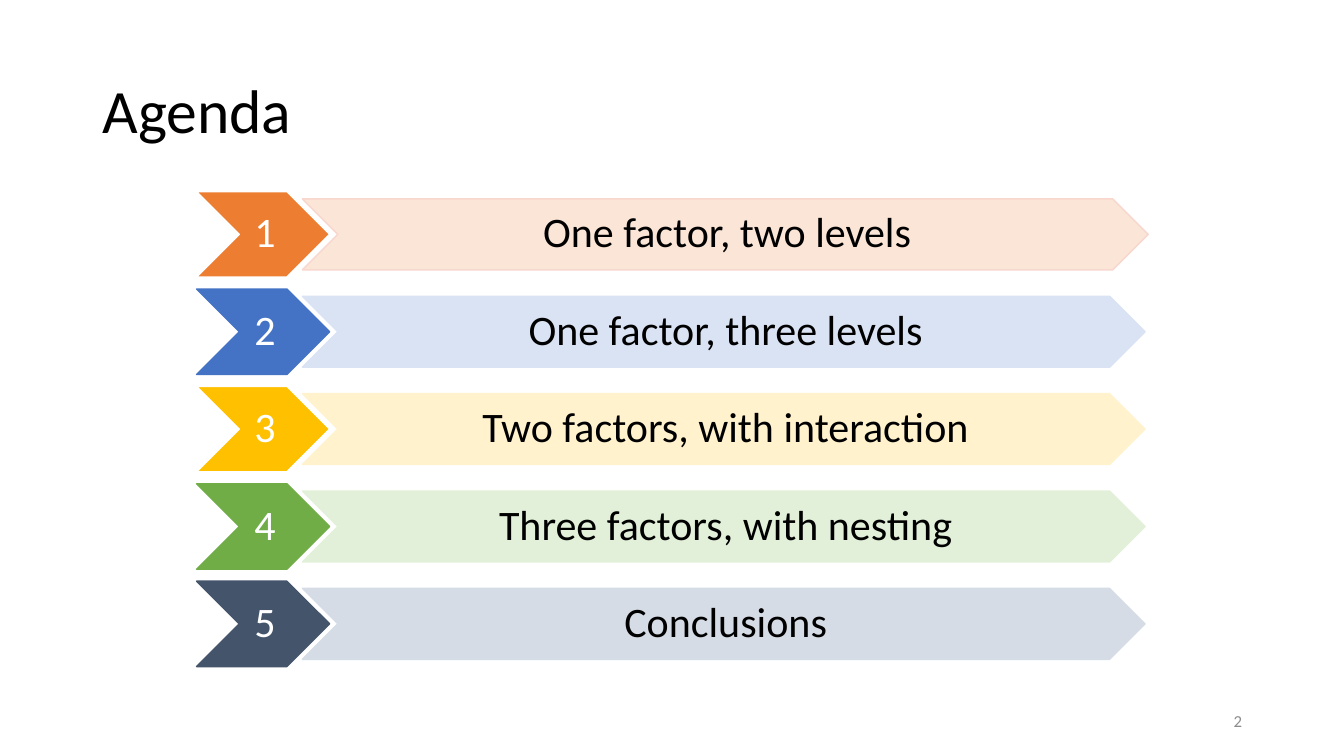
import dataclasses
import pptx
import pptx.util
import pptx.dml.color
import pptx.enum.shapes
import pptx.enum.text

ALIGN = pptx.enum.text.PP_ALIGN
MIDDLE = pptx.enum.text.MSO_ANCHOR.MIDDLE
CHEVRON = pptx.enum.shapes.MSO_SHAPE.CHEVRON


@dataclasses.dataclass(frozen=True)
class Theme:
    font: str = "Calibri"
    dark: str = "000000"
    light: str = "FFFFFF"
    muted: str = "8C8C8C"
    title: int = 44
    body: int = 30
    small: int = 12


def rgb(code):
    return pptx.dml.color.RGBColor.from_string(code)


def write(frame, text, font, size, color, align=ALIGN.LEFT, space=0.9, inset=None):
    """Put formatted text in a frame; inset is left, top, right, bottom in inches."""
    frame.word_wrap = True
    frame.auto_size = pptx.enum.text.MSO_AUTO_SIZE.NONE
    frame.vertical_anchor = MIDDLE
    if inset:
        left, top, right, bottom = map(pptx.util.Inches, inset)
        frame.margin_left, frame.margin_top = left, top
        frame.margin_right, frame.margin_bottom = right, bottom
    para = frame.paragraphs[0]
    para.alignment, para.line_spacing = align, space
    run = para.add_run()
    run.text = text
    run.font.name, run.font.size = font, pptx.util.Pt(size)
    run.font.color.rgb = rgb(color)


class Deck:
    """Holds the theme and current slide; boxes are in percent of its size."""

    def __init__(self, theme):
        self.theme = theme
        self.prs = pptx.Presentation()
        self.prs.slide_width = pptx.util.Inches(13.33)
        self.prs.slide_height = pptx.util.Inches(7.5)
        self.slide = self.prs.slides.add_slide(self.prs.slide_layouts[5])

    def place(self, left, top, width, height):
        wide, high = self.prs.slide_width / 100, self.prs.slide_height / 100
        return [round(n) for n in (left * wide, top * high, width * wide, height * high)]

    def title(self, box, text):
        item = self.slide.shapes.title
        item.left, item.top, item.width, item.height = self.place(*box)
        write(item.text_frame, text, self.theme.font, self.theme.title, self.theme.dark)

    def arrow(self, box, text, fill, line, color):
        item = self.slide.shapes.add_shape(CHEVRON, *self.place(*box))
        item.shadow.inherit = False
        item.fill.solid()
        item.fill.fore_color.rgb = rgb(fill)
        item.line.color.rgb = rgb(line)
        item.line.width = pptx.util.Pt(1)
        write(item.text_frame, text, self.theme.font, self.theme.body, color,
              align=ALIGN.CENTER, inset=(0.04, 0.02, 0, 0.02))

    def label(self, box, text):
        item = self.slide.shapes.add_textbox(*self.place(*box))
        write(item.text_frame, text, self.theme.font, self.theme.small,
              self.theme.muted, align=ALIGN.RIGHT, space=1)


theme = Theme()
deck = Deck(theme)

# Title
deck.title((6.88, 5.33, 86.25, 19.33), "Agenda")

# Agenda rows: text, number fill and line, bar fill and line, bar width
TOPICS = [
    ("One factor, two levels", "ED7D31", theme.light, "FBE5D6", "F8D7CE", 62.94),
    ("One factor, three levels", "4472C4", "4472C4", "DAE3F3", "DAE3F3", 62.7),
    ("Two factors, with interaction", "FFC000", theme.light, "FFF2CC", "FFF2CC", 62.7),
    ("Three factors, with nesting", "70AD47", "70AD47", "E2F0D9", "E2F0D9", 62.7),
    ("Conclusions", "44546A", "44546A", "D6DCE5", "D6DCE5", 62.7),
]
TOP, STEP, HIGH, BAR = 25.35, 12.88, 11.3, 9.38
for row, (text, fill, edge, tint, rim, width) in enumerate(TOPICS):
    top = TOP + row * STEP
    deck.arrow((14.63, top, 9.9, HIGH), str(row + 1), fill, edge, theme.light)
    deck.arrow((22.5, top + (HIGH - BAR) / 2, width, BAR), text, tint, rim, theme.dark)

# Slide number
deck.label((70.67, 92.67, 22.5, 5.33), "2")

deck.prs.save("out.pptx")
